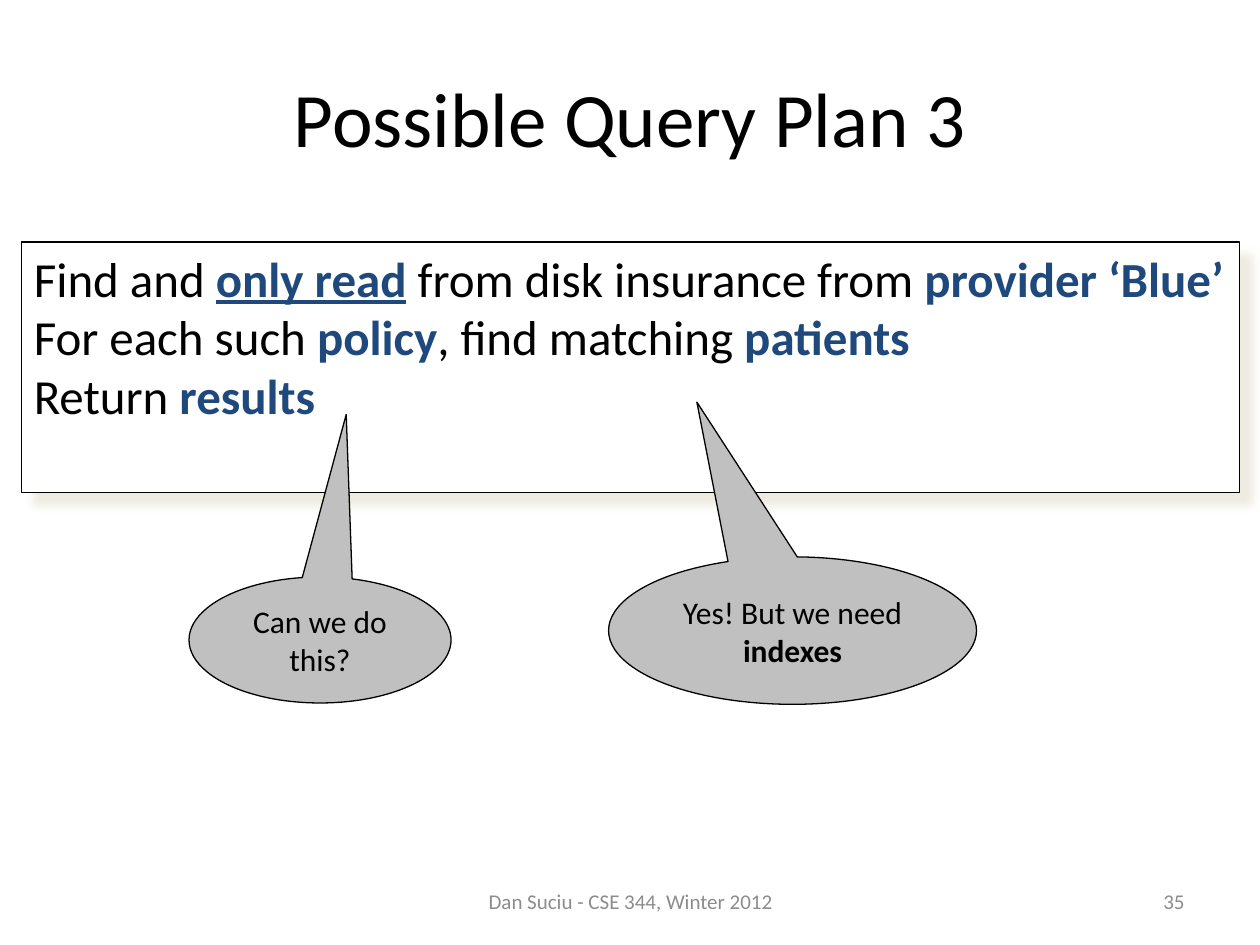
"""Build the slide on query plan 3 with its two callouts."""
from lxml.etree import SubElement
from pptx import Presentation
from pptx.dml.color import RGBColor
from pptx.enum.shapes import MSO_SHAPE
from pptx.enum.text import MSO_ANCHOR, PP_ALIGN
from pptx.oxml.ns import qn
from pptx.util import Inches, Pt

COLORS = {
    "text": "000000",
    "accent": "1F497D",
    "footer": "8C8C8C",
    "panel": "FFFFFF",
    "callout": "C0C0C0",
    "shadow": "EEECE1",
}
FONT = "Calibri"
CELL = 1 / 12
PLAN = [
    [("Find and ", ""), ("only read", "bold underline"),
     (" from disk insurance from ", ""), ("provider ‘Blue’", "bold")],
    [("For each such ", ""), ("policy", "bold"),
     (", find matching ", ""), ("patients", "bold")],
    [("Return ", ""), ("results", "bold")],
]
CALLOUTS = [
    ((18, 55, 25, 12), (0.1, -1.79), [("Can we do this?", "")]),
    ((58, 53, 35, 14), (-0.26, -1.55),
     [("Yes! But we need", ""), (" indexes", "bold")]),
]
FOOTERS = [
    ((41, 83.4, 38, 4.8), "Dan Suciu - CSE 344, Winter 2012", PP_ALIGN.CENTER),
    ((86, 83.4, 28, 4.8), "35", PP_ALIGN.RIGHT),
]


def color(name):
    """Return the named colour."""
    return RGBColor.from_string(COLORS[name])


def area(cells):
    """Turn grid cells into left, top, width and height."""
    return [Inches(round(cell * CELL, 2)) for cell in cells]


def write(frame, lines, size, align, anchor, base="text", emphasis="text"):
    """Fill a text frame with lines of styled runs."""
    frame.word_wrap = True
    frame.vertical_anchor = anchor
    for index, line in enumerate(lines):
        paragraph = frame.add_paragraph() if index else frame.paragraphs[0]
        paragraph.alignment = align
        paragraph.font.name = FONT
        paragraph.font.size = Pt(size)
        paragraph.font.color.rgb = color(base)
        for text, style in line:
            run = paragraph.add_run()
            run.text = text
            if style:
                run.font.bold = True
                run.font.underline = True if "underline" in style else None
                run.font.color.rgb = color(emphasis)


def add_title(slide, text):
    """Place and format the title placeholder."""
    title = slide.shapes.title
    title.left, title.top, title.width, title.height = area((6, 3.6, 108, 15))
    write(title.text_frame, [[(text, "")]], 44, PP_ALIGN.CENTER, MSO_ANCHOR.MIDDLE)


def add_footer(slide, cells, text, align):
    """Add a small grey text at the foot of the slide."""
    box = slide.shapes.add_textbox(*area(cells))
    write(box.text_frame, [[(text, "")]], 12, align, MSO_ANCHOR.MIDDLE, "footer")


def add_outlined(slide, kind, cells, fill):
    """Add a filled shape with a thin outline."""
    shape = slide.shapes.add_shape(kind, *area(cells))
    shape.shadow.inherit = False
    shape.fill.solid()
    shape.fill.fore_color.rgb = color(fill)
    shape.line.color.rgb = color("text")
    shape.line.width = Pt(0.75)
    return shape


def add_shadow(shape):
    """Cast a soft shadow to the lower right."""
    effects = shape.element.spPr.find(qn("a:effectLst"))
    shadow = SubElement(effects, qn("a:outerShdw"), blurRad=str(Pt(5)),
                        dist=str(Pt(8.5)), dir=str(45 * 60000),
                        algn="ctr", rotWithShape="0")
    SubElement(shadow, qn("a:srgbClr"), val=COLORS["shadow"])


def add_panel(slide, cells, lines):
    """Add the shadowed panel that holds the plan."""
    panel = add_outlined(slide, MSO_SHAPE.RECTANGLE, cells, "panel")
    add_shadow(panel)
    write(panel.text_frame, lines, 28, PP_ALIGN.LEFT, MSO_ANCHOR.TOP,
          emphasis="accent")


def add_callout(slide, cells, tip, line):
    """Add an oval callout pointing at the tip."""
    callout = add_outlined(slide, MSO_SHAPE.OVAL_CALLOUT, cells, "callout")
    callout.adjustments[0], callout.adjustments[1] = tip
    frame = callout.text_frame
    frame.margin_left = frame.margin_right = 0
    frame.margin_top = frame.margin_bottom = 0
    write(frame, [line], 18, PP_ALIGN.CENTER, MSO_ANCHOR.MIDDLE)


def main():
    """Build and save the presentation."""
    presentation = Presentation()
    presentation.slide_width = Inches(10)
    presentation.slide_height = Inches(7.5)
    slide = presentation.slides.add_slide(presentation.slide_layouts[5])
    add_title(slide, "Possible Query Plan 3")
    for cells, text, align in FOOTERS:
        add_footer(slide, cells, text, align)
    add_panel(slide, (2, 23, 116, 23.9), PLAN)
    for cells, tip, line in CALLOUTS:
        add_callout(slide, cells, tip, line)
    presentation.save("out.pptx")


main()
